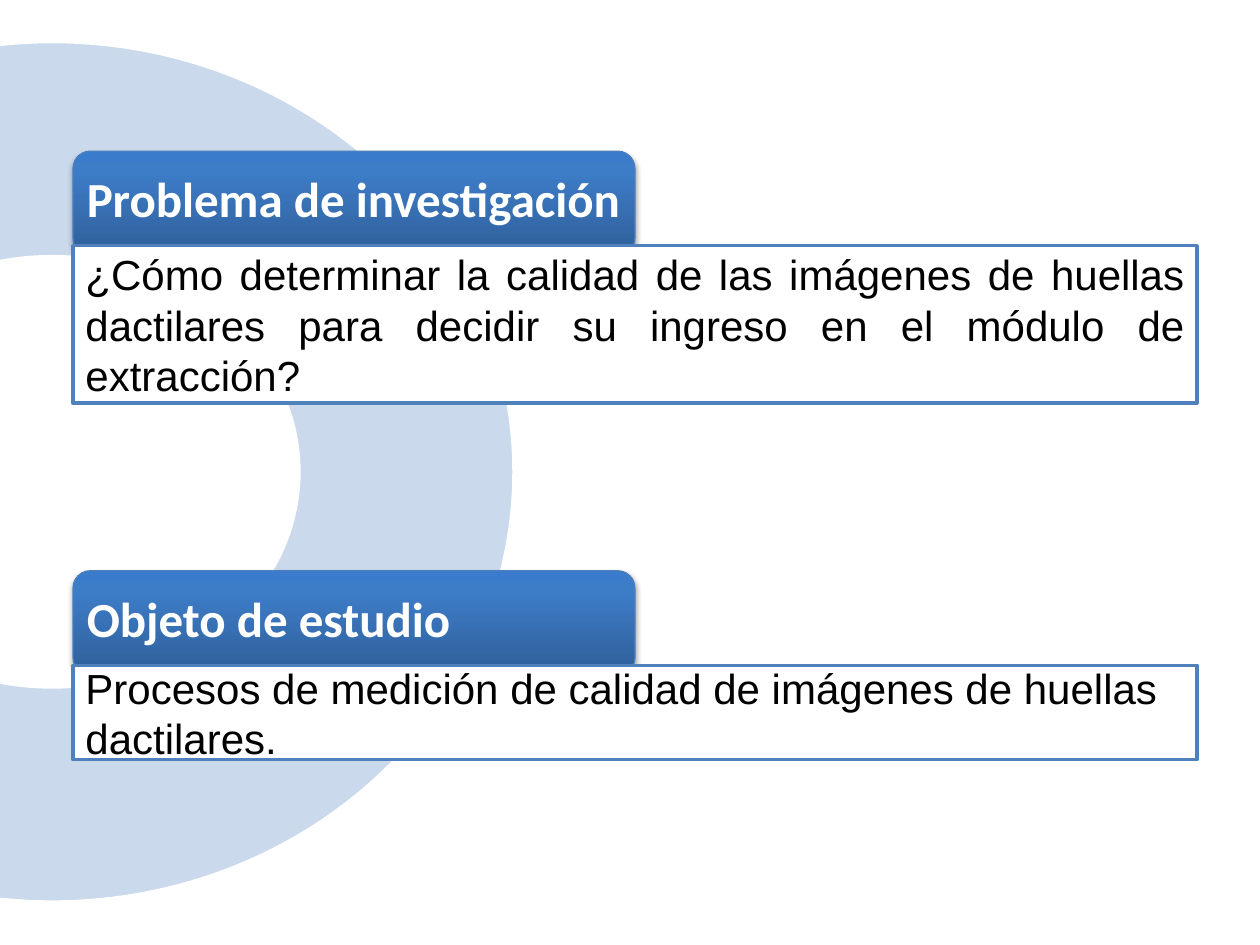
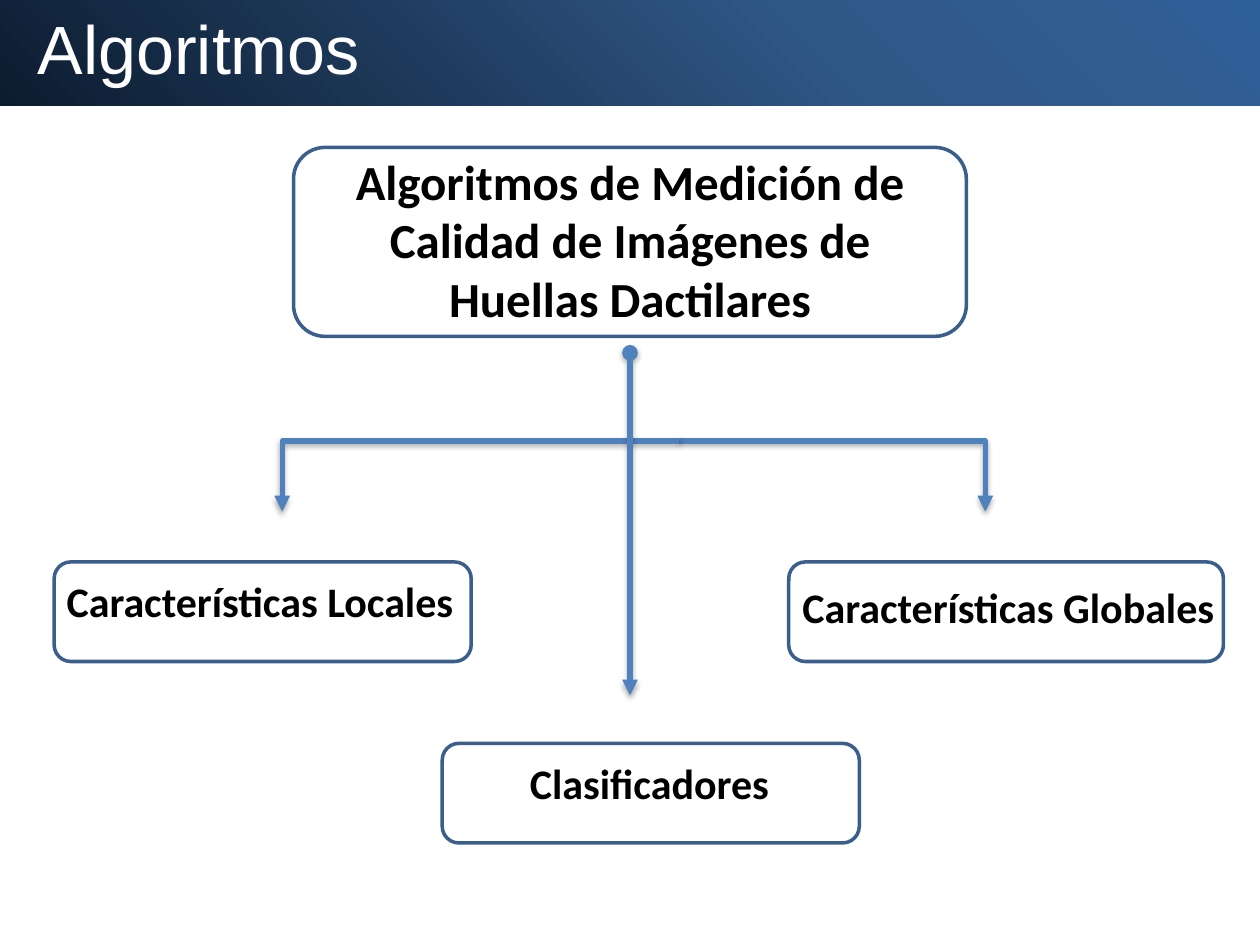
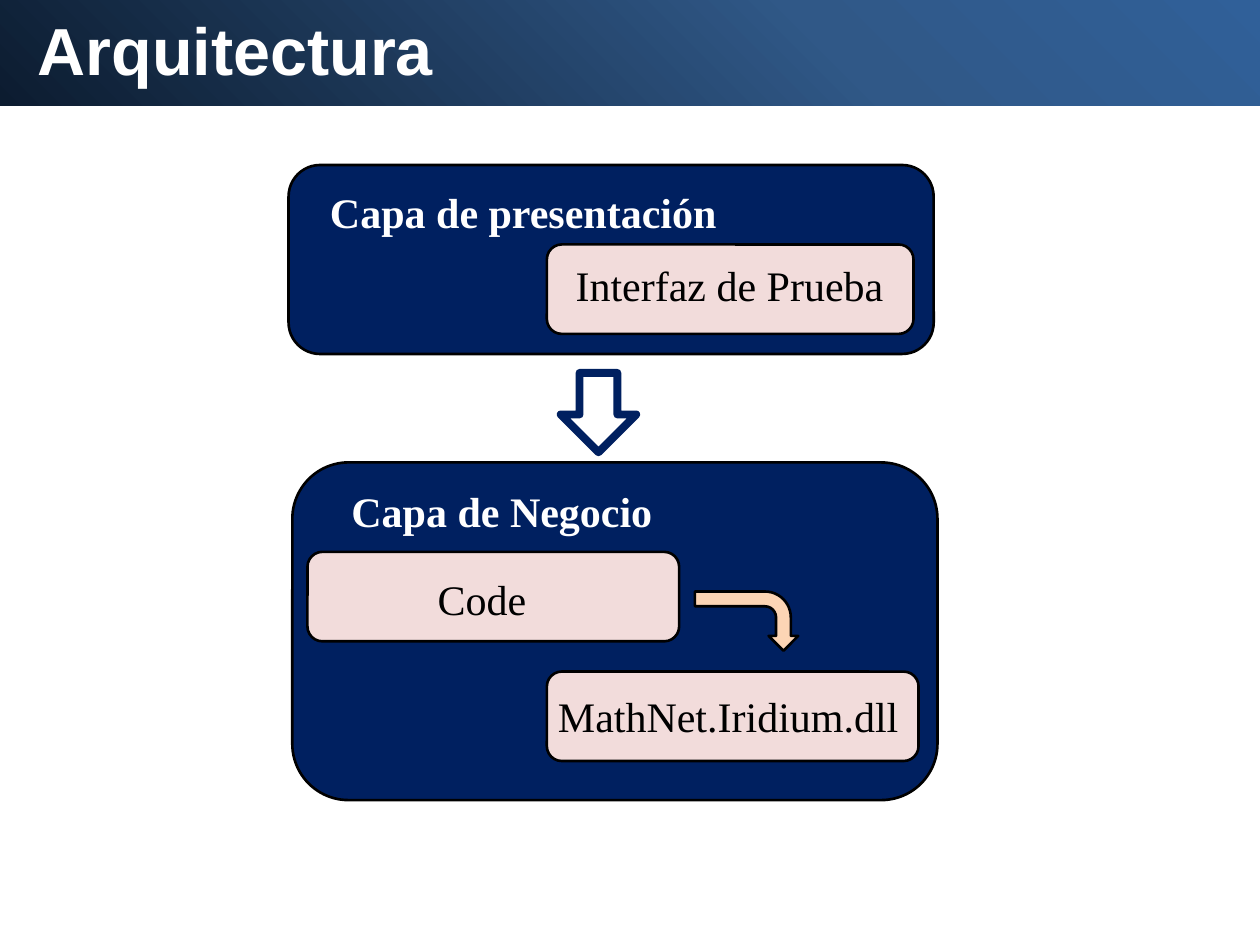
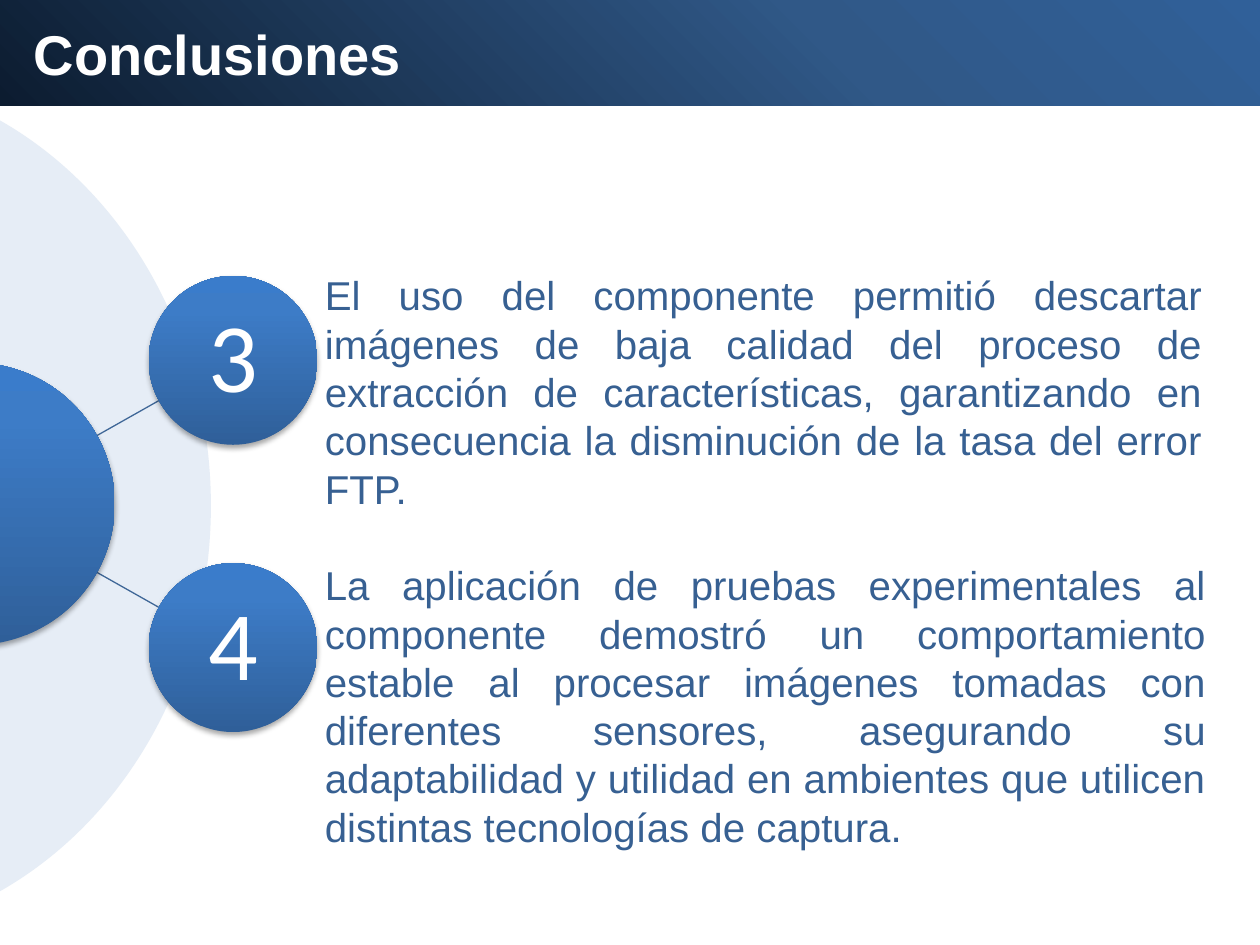
from dataclasses import dataclass
from typing import NamedTuple, Optional

from lxml.etree import SubElement
from pptx import Presentation
from pptx.dml.color import RGBColor
from pptx.enum.shapes import MSO_CONNECTOR, MSO_SHAPE
from pptx.enum.text import MSO_ANCHOR, MSO_AUTO_SIZE, PP_ALIGN
from pptx.oxml import parse_xml
from pptx.oxml.ns import nsdecls, qn
from pptx.util import Inches, Pt


class Box(NamedTuple):
    """Left, top, width and height in inches."""
    x: float
    y: float
    w: float
    h: float


class Gradient(NamedTuple):
    """Colour stops and the XML of their direction."""
    stops: tuple
    direction: str


@dataclass(frozen=True)
class Theme:
    """Colours, gradients, fonts and type sizes of the deck."""
    white: str = "FFFFFF"
    black: str = "000000"
    ring: str = "CAD9EC"
    pale_ring: str = "E6EDF6"
    accent: str = "4F81BD"
    tab_edge: str = "4B7EBC"
    node_edge: str = "3A5F8C"
    spoke: str = "3F6797"
    body: str = "376092"
    layer: str = "002060"
    module: str = "F2DCDB"
    arrow: str = "FCD5B5"
    glossy: Gradient = Gradient(
        ((0, "2F5F99"), (80, "3D7CC7"), (100, "3A7CCB")),
        '<a:lin ang="16200000" scaled="0"/>')
    band: Gradient = Gradient(
        ((0, "0C1C30"), (65, "305887"), (100, "306099")),
        '<a:path path="circle"><a:fillToRect t="100000" r="100000"/></a:path>')
    sans: str = "Arial"
    label: str = "Calibri"
    serif: str = "Times New Roman"
    light_title: int = 39
    bold_title: int = 38
    small_title: int = 32
    heading: int = 28
    text: int = 24
    conclusion: int = 23
    number: int = 56


T = Theme()


@dataclass(frozen=True)
class Style:
    """Look of a run of text and its paragraph."""
    font: str
    size: int
    color: str
    bold: bool = False
    align: PP_ALIGN = PP_ALIGN.LEFT
    spacing: Optional[float] = None


@dataclass(frozen=True)
class Panel:
    """Tab with a heading over a framed statement."""
    y: float
    heading: str
    heading_w: float
    text: str
    text_h: float
    align: PP_ALIGN


@dataclass(frozen=True)
class Node:
    """Outlined box of the tree and the place of its caption."""
    box: Box
    caption: Box
    text: str
    size: int = T.text
    align: PP_ALIGN = PP_ALIGN.CENTER


@dataclass(frozen=True)
class Layer:
    """Architecture layer and its title."""
    box: Box
    caption: Box
    text: str


@dataclass(frozen=True)
class Module:
    """Module inside a layer and the place of its name."""
    box: Box
    caption: Box
    text: str
    align: PP_ALIGN = PP_ALIGN.CENTER


@dataclass(frozen=True)
class Conclusion:
    """Numbered circle with its paragraph."""
    number: str
    circle_y: float
    text_box: Box
    text: str


def rgb(color: str) -> RGBColor:
    """Turn a hex string into a colour."""
    return RGBColor.from_string(color)


def inches(values) -> list:
    """Turn numbers into lengths."""
    return [Inches(v) for v in values]


def add_shadow(effects) -> None:
    """Put the soft lower shadow into an effect list."""
    effects.append(parse_xml(
        f'<a:outerShdw {nsdecls("a")} blurRad="40000" dist="23000" dir="5400000" rotWithShape="0">'
        '<a:srgbClr val="000000"><a:alpha val="35000"/></a:srgbClr></a:outerShdw>'))


def set_gradient(s, gradient: Gradient) -> None:
    """Fill a shape with a gradient."""
    stops = "".join(f'<a:gs pos="{pos * 1000}"><a:srgbClr val="{color}"/></a:gs>'
                    for pos, color in gradient.stops)
    s.fill.solid()
    props = s._element.spPr
    props.replace(props.find(qn("a:solidFill")), parse_xml(
        f'<a:gradFill {nsdecls("a")} rotWithShape="1"><a:gsLst>{stops}</a:gsLst>'
        f'{gradient.direction}</a:gradFill>'))


def add_shape(slide, kind: MSO_SHAPE, box: Box, fill=None, line: Optional[str] = None,
              width: float = 2, shadow: bool = False):
    """Draw a preset shape with a plain, gradient or empty fill."""
    s = slide.shapes.add_shape(kind, *inches(box))
    s.shadow.inherit = False
    if isinstance(fill, Gradient):
        set_gradient(s, fill)
    elif fill:
        s.fill.solid()
        s.fill.fore_color.rgb = rgb(fill)
    else:
        s.fill.background()
    if line:
        s.line.color.rgb = rgb(line)
        s.line.width = Pt(width)
    else:
        s.line.fill.background()
    if shadow:
        add_shadow(s._element.spPr.find(qn("a:effectLst")))
    return s


def write(tf, text: str, style: Style) -> None:
    """Write one paragraph in a style."""
    tf.text = text
    p = tf.paragraphs[0]
    p.alignment = style.align
    if style.spacing:
        p.line_spacing = style.spacing
    r = p.runs[0]
    r.font.name = style.font
    r.font.size = Pt(style.size)
    r.font.bold = style.bold
    r.font.color.rgb = rgb(style.color)


def add_text(slide, box: Box, text: str, style: Style, wrap: bool = True):
    """Add a text box that grows with its text."""
    tf = slide.shapes.add_textbox(*inches(box)).text_frame
    tf.word_wrap = wrap
    tf.auto_size = MSO_AUTO_SIZE.SHAPE_TO_FIT_TEXT
    write(tf, text, style)
    return tf


def add_line(slide, start: tuple, end: tuple, color: str, width: float,
             head: Optional[str] = None, tail: Optional[str] = None,
             bend: Optional[float] = None, shadow: bool = False) -> None:
    """Draw a straight line, or an elbow when a bend is given."""
    kind = MSO_CONNECTOR.STRAIGHT if bend is None else MSO_CONNECTOR.ELBOW
    s = slide.shapes.add_connector(kind, *inches(start + end))
    s.line.color.rgb = rgb(color)
    s.line.width = Pt(width)
    props = s._element.spPr
    for tag, end_type in (("a:headEnd", head), ("a:tailEnd", tail)):
        if end_type:
            SubElement(props.find(qn("a:ln")), qn(tag), type=end_type)
    if bend is not None:
        guides = props.find(qn("a:prstGeom")).find(qn("a:avLst"))
        SubElement(guides, qn("a:gd"), name="adj1", fmla=f"val {round(bend * 100000)}")
    effects = SubElement(props, qn("a:effectLst"))
    if shadow:
        add_shadow(effects)


def new_slide(prs):
    """Add a blank slide."""
    return prs.slides.add_slide(prs.slide_layouts[6])


def titled_slide(prs):
    """Add a slide with the title band."""
    slide = new_slide(prs)
    add_shape(slide, MSO_SHAPE.RECTANGLE, Box(0, -0.08, 10, 0.92), T.band)
    return slide


def title_style(size: int, bold: bool = True) -> Style:
    """Give the style of a slide title."""
    return Style(T.sans, size, T.white, bold)


def add_panel(slide, panel: Panel) -> None:
    """Draw a tab and the statement below it."""
    x, y = 0.58, panel.y
    add_shape(slide, MSO_SHAPE.ROUNDED_RECTANGLE, Box(x, y, 4.46, 0.83),
              T.glossy, T.tab_edge, 0.75, shadow=True)
    s = add_shape(slide, MSO_SHAPE.RECTANGLE, Box(x, y + 0.75, 8.92, panel.text_h),
                  T.white, T.accent)
    s.text_frame.word_wrap = True
    s.text_frame.vertical_anchor = MSO_ANCHOR.MIDDLE
    write(s.text_frame, panel.text, Style(T.sans, T.text, T.black, align=panel.align))
    add_text(slide, Box(x + 0.01, y + 0.09, panel.heading_w, 0.57), panel.heading,
             Style(T.label, T.heading, T.white, True), wrap=False)


def problem_slide(prs) -> None:
    """Research problem and object of study."""
    slide = new_slide(prs)
    add_shape(slide, MSO_SHAPE.DONUT, Box(-3.25, 0.33, 7.33, 6.83), T.ring, T.white)
    panels = (
        Panel(4.53, "Objeto de estudio", 3.52,
              "Procesos de medición de calidad de imágenes de huellas dactilares.",
              0.75, PP_ALIGN.LEFT),
        Panel(1.2, "Problema de investigación", 4.48,
              "¿Cómo determinar la calidad de las imágenes de huellas dactilares para "
              "decidir su ingreso en el módulo de extracción?", 1.25, PP_ALIGN.JUSTIFY),
    )
    for panel in panels:
        add_panel(slide, panel)


def algorithms_slide(prs) -> None:
    """Tree of quality algorithms."""
    slide = titled_slide(prs)
    add_text(slide, Box(0.2, 0, 8.11, 0.77), "Algoritmos", title_style(T.light_title, False))
    nodes = (
        Node(Box(2.33, 1.17, 5.34, 1.5), Box(2.38, 1.15, 5.24, 1.51),
             "Algoritmos de Medición de Calidad de Imágenes de Huellas Dactilares", T.heading),
        Node(Box(0.43, 4.46, 3.31, 0.79), Box(0.43, 4.52, 3.31, 0.5),
             "Características Locales", align=PP_ALIGN.LEFT),
        Node(Box(3.51, 5.9, 3.31, 0.79), Box(3.5, 5.96, 3.31, 0.5), "Clasificadores"),
        Node(Box(6.26, 4.46, 3.45, 0.79), Box(6.27, 4.57, 3.7, 0.5),
             "Características Globales", align=PP_ALIGN.LEFT),
    )
    for node in nodes:
        add_shape(slide, MSO_SHAPE.ROUNDED_RECTANGLE, node.box, line=T.node_edge)
        add_text(slide, node.caption, node.text,
                 Style(T.label, node.size, T.black, True, node.align))
    for end_x in (7.82, 2.24):
        add_line(slide, (5.39, 3.5), (end_x, 4.06), T.accent, 3,
                 tail="triangle", bend=1, shadow=True)
    add_line(slide, (5, 2.8), (5, 5.52), T.accent, 3, "oval", "triangle", shadow=True)


def architecture_slide(prs) -> None:
    """Layers of the architecture and their modules."""
    slide = titled_slide(prs)
    add_text(slide, Box(0.2, 0.02, 9.11, 0.74), "Arquitectura", title_style(T.bold_title))
    layers = (
        Layer(Box(2.29, 1.31, 5.12, 1.5), Box(2.52, 1.43, 4.25, 0.51), "Capa de presentación"),
        Layer(Box(2.32, 3.67, 5.12, 2.68), Box(2.69, 3.8, 4.25, 0.51), "Capa de Negocio"),
    )
    modules = (
        Module(Box(4.34, 1.94, 2.91, 0.71), Box(4.37, 2.01, 2.84, 0.51), "Interfaz de Prueba"),
        Module(Box(2.44, 4.38, 2.95, 0.71), Box(2.84, 4.5, 1.97, 0.51), "Code"),
        Module(Box(4.34, 5.33, 2.95, 0.71), Box(4.33, 5.43, 2.95, 0.51),
               "MathNet.Iridium.dll", PP_ALIGN.LEFT),
    )
    for items, fill in ((layers, T.layer), (modules, T.module)):
        for item in items:
            add_shape(slide, MSO_SHAPE.ROUNDED_RECTANGLE, item.box, fill, T.black, 1.5)
    add_shape(slide, MSO_SHAPE.DOWN_ARROW, Box(4.45, 2.96, 0.6, 0.63), T.white, T.layer, 4.5)
    for layer in layers:
        add_text(slide, layer.caption, layer.text, Style(T.serif, T.text, T.white, True))
    for module in modules:
        add_text(slide, module.caption, module.text,
                 Style(T.serif, T.text, T.black, align=module.align))
    turn = add_shape(slide, MSO_SHAPE.BENT_ARROW, Box(5.69, 4.52, 0.47, 0.82),
                     T.arrow, T.black, 1.5)
    turn.rotation = 90


def add_conclusion(slide, item: Conclusion) -> None:
    """Draw a numbered circle and its paragraph."""
    add_shape(slide, MSO_SHAPE.OVAL, Box(1.18, item.circle_y, 1.34, 1.34),
              T.glossy, shadow=True)
    tf = add_text(slide, Box(1.38, item.circle_y + 0.2, 0.95, 0.95), item.number,
                  Style(T.label, T.number, T.white, align=PP_ALIGN.CENTER, spacing=0.9))
    tf.auto_size = MSO_AUTO_SIZE.NONE
    tf.vertical_anchor = MSO_ANCHOR.MIDDLE
    tf.margin_left = tf.margin_right = tf.margin_top = tf.margin_bottom = Inches(0.04)
    add_text(slide, item.text_box, item.text,
             Style(T.sans, T.conclusion, T.body, align=PP_ALIGN.JUSTIFY))


def conclusions_slide(prs) -> None:
    """Conclusions three and four around a hub."""
    slide = titled_slide(prs)
    add_shape(slide, MSO_SHAPE.DONUT, Box(-4.42, 0.6, 6.08, 6.83), T.pale_ring, T.pale_ring)
    for side in (1, -1):
        add_line(slide, (0.57, 4 + side * 0.43), (1.26, 4 + side * 0.82), T.spoke, 0.75)
    add_shape(slide, MSO_SHAPE.OVAL, Box(-1.33, 2.88, 2.24, 2.24), T.glossy, shadow=True)
    conclusions = (
        Conclusion("3", 2.19, Box(2.48, 2.1, 7.17, 2.04),
                   "El uso del componente permitió descartar imágenes de baja calidad del "
                   "proceso de extracción de características, garantizando en consecuencia "
                   "la disminución de la tasa del error FTP."),
        Conclusion("4", 4.47, Box(2.48, 4.4, 7.2, 2.42),
                   "La aplicación de pruebas experimentales al componente demostró un "
                   "comportamiento estable al procesar imágenes tomadas con diferentes "
                   "sensores, asegurando su adaptabilidad y utilidad en ambientes que "
                   "utilicen distintas tecnologías de captura."),
    )
    for item in conclusions:
        add_conclusion(slide, item)
    add_text(slide, Box(0.17, 0.11, 3.14, 0.64), "Conclusiones",
             title_style(T.small_title), wrap=False)


def main() -> None:
    """Build and save the deck."""
    prs = Presentation()
    prs.slide_width, prs.slide_height = Inches(10), Inches(7.5)
    for build in (problem_slide, algorithms_slide, architecture_slide, conclusions_slide):
        build(prs)
    prs.save("out.pptx")


if __name__ == "__main__":
    main()
